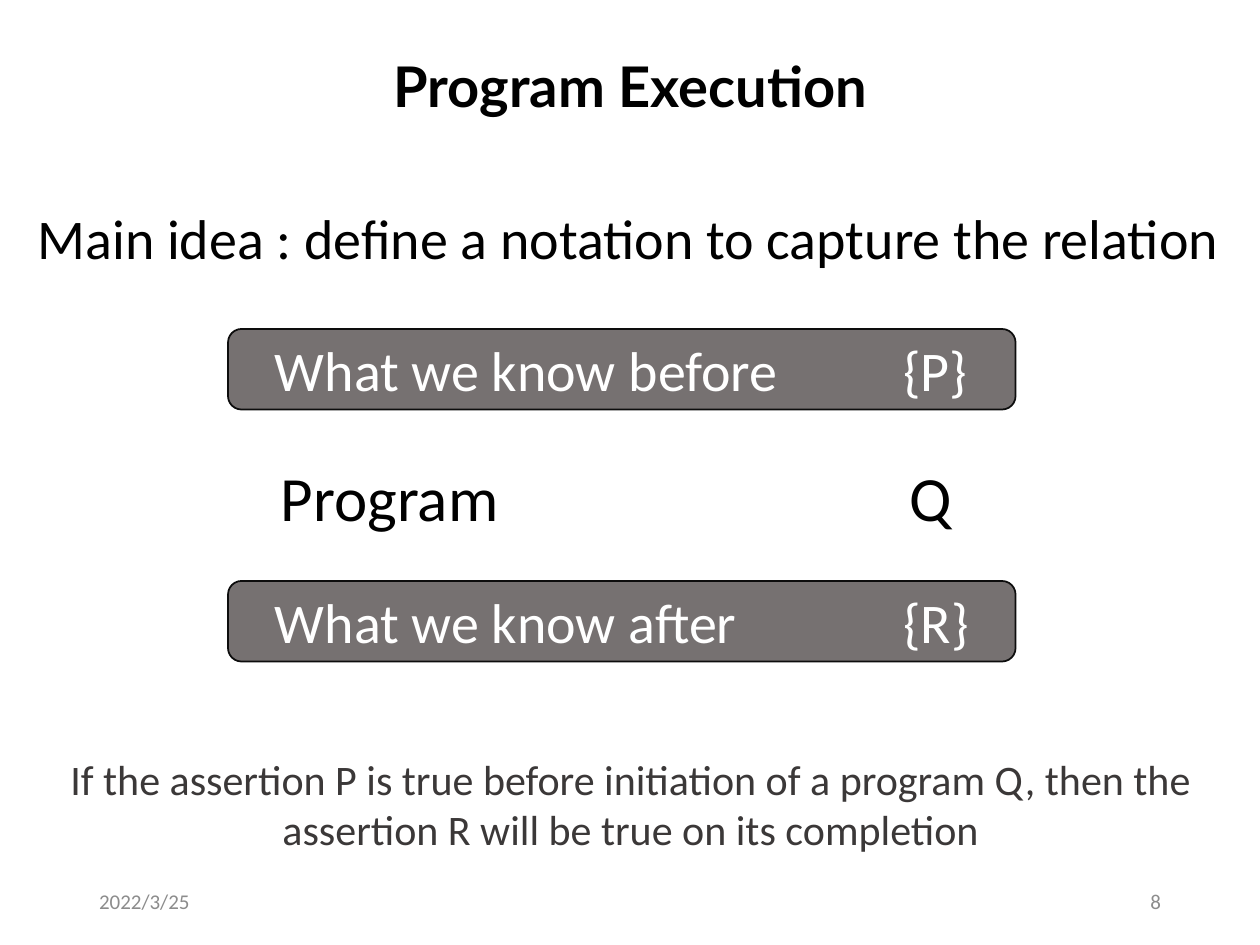
from lxml.etree import SubElement
from pptx import Presentation
from pptx.dml.color import RGBColor
from pptx.enum.shapes import MSO_SHAPE
from pptx.enum.text import MSO_ANCHOR, MSO_AUTO_SIZE, PP_ALIGN
from pptx.oxml.ns import qn
from pptx.util import Pt

BLACK = RGBColor(0x00, 0x00, 0x00)
WHITE = RGBColor(0xFF, 0xFF, 0xFF)
PANEL = RGBColor(0x76, 0x71, 0x71)
OUTLINE = RGBColor(0x0D, 0x0D, 0x0D)
CONCLUSION = RGBColor(0x3B, 0x38, 0x38)
FOOTER = RGBColor(0x8C, 0x8C, 0x8C)


class SlideBuilder:
    """Holds the fonts and the current slide, and adds each kind of element."""

    heading_font = "Lato"
    body_font = "Calibri"
    symbol_tab = Pt(359)

    def __init__(self, deck):
        self.slide = deck.slides.add_slide(deck.slide_layouts[5])

    def fill_text(self, frame, text, size, color, align=PP_ALIGN.LEFT, font=None, bold=False):
        frame.word_wrap = True
        paragraph = frame.paragraphs[0]
        paragraph.alignment = align
        run = paragraph.add_run()
        run.text = text
        run.font.name = font or self.body_font
        run.font.size = Pt(size)
        run.font.bold = bold
        run.font.color.rgb = color
        return paragraph

    def title(self, text, left, top, width, height):
        heading = self.slide.shapes.title
        heading.left, heading.top = Pt(left), Pt(top)
        heading.width, heading.height = Pt(width), Pt(height)
        heading.text_frame.auto_size = MSO_AUTO_SIZE.NONE
        heading.text_frame.vertical_anchor = MSO_ANCHOR.TOP
        self.fill_text(heading.text_frame, text, 32, BLACK, PP_ALIGN.CENTER,
                       self.heading_font, True)

    def text(self, text, left, top, width, height, size, color,
             align=PP_ALIGN.LEFT, anchor=MSO_ANCHOR.TOP):
        box = self.slide.shapes.add_textbox(Pt(left), Pt(top), Pt(width), Pt(height))
        box.text_frame.vertical_anchor = anchor
        self.fill_text(box.text_frame, text, size, color, align)

    def statement(self, label, symbol, left, top, width, height, size, color, inset, filled):
        shapes = self.slide.shapes
        bounds = Pt(left), Pt(top), Pt(width), Pt(height)
        if filled:
            row = shapes.add_shape(MSO_SHAPE.ROUNDED_RECTANGLE, *bounds)
            row.shadow.inherit = False
            row.fill.solid()
            row.fill.fore_color.rgb = PANEL
            row.line.color.rgb = OUTLINE
            row.line.width = Pt(1)
        else:
            row = shapes.add_textbox(*bounds)
        row.text_frame.margin_left = Pt(inset)
        row.text_frame.vertical_anchor = MSO_ANCHOR.MIDDLE
        paragraph = self.fill_text(row.text_frame, f"{label}\t{symbol}", size, color)
        tabs = SubElement(paragraph._p.get_or_add_pPr(), qn("a:tabLst"))
        SubElement(tabs, qn("a:tab"), pos=str(self.symbol_tab), algn="l")


def main():
    deck = Presentation()
    deck.slide_width, deck.slide_height = Pt(720), Pt(540)
    builder = SlideBuilder(deck)

    builder.title("Program Execution", 188.6, 26, 343.4, 46)
    builder.text("Main idea : define a notation to capture the relation",
                 14.4, 113, 692, 46, 32, BLACK)

    builder.statement("Program", "Q", 134, 257.8, 443, 51, 36, BLACK, 26.6, False)
    for label, symbol, top in (("What we know before", "{P}", 188),
                               ("What we know after", "{R}", 332)):
        builder.statement(label, symbol, 130.3, top, 450, 46, 32, WHITE, 24.5, True)

    builder.text("If the assertion P is true before initiation of a program Q, "
                 "then the assertion R will be true on its completion",
                 14.4, 427, 692, 65.5, 24, CONCLUSION, PP_ALIGN.CENTER)

    for text, left, align in (("2022/3/25", 49.5, PP_ALIGN.LEFT),
                              ("8", 508.5, PP_ALIGN.RIGHT)):
        builder.text(text, left, 500.5, 162, 28.8, 12, FOOTER, align, MSO_ANCHOR.MIDDLE)

    deck.save("out.pptx")


if __name__ == "__main__":
    main()
